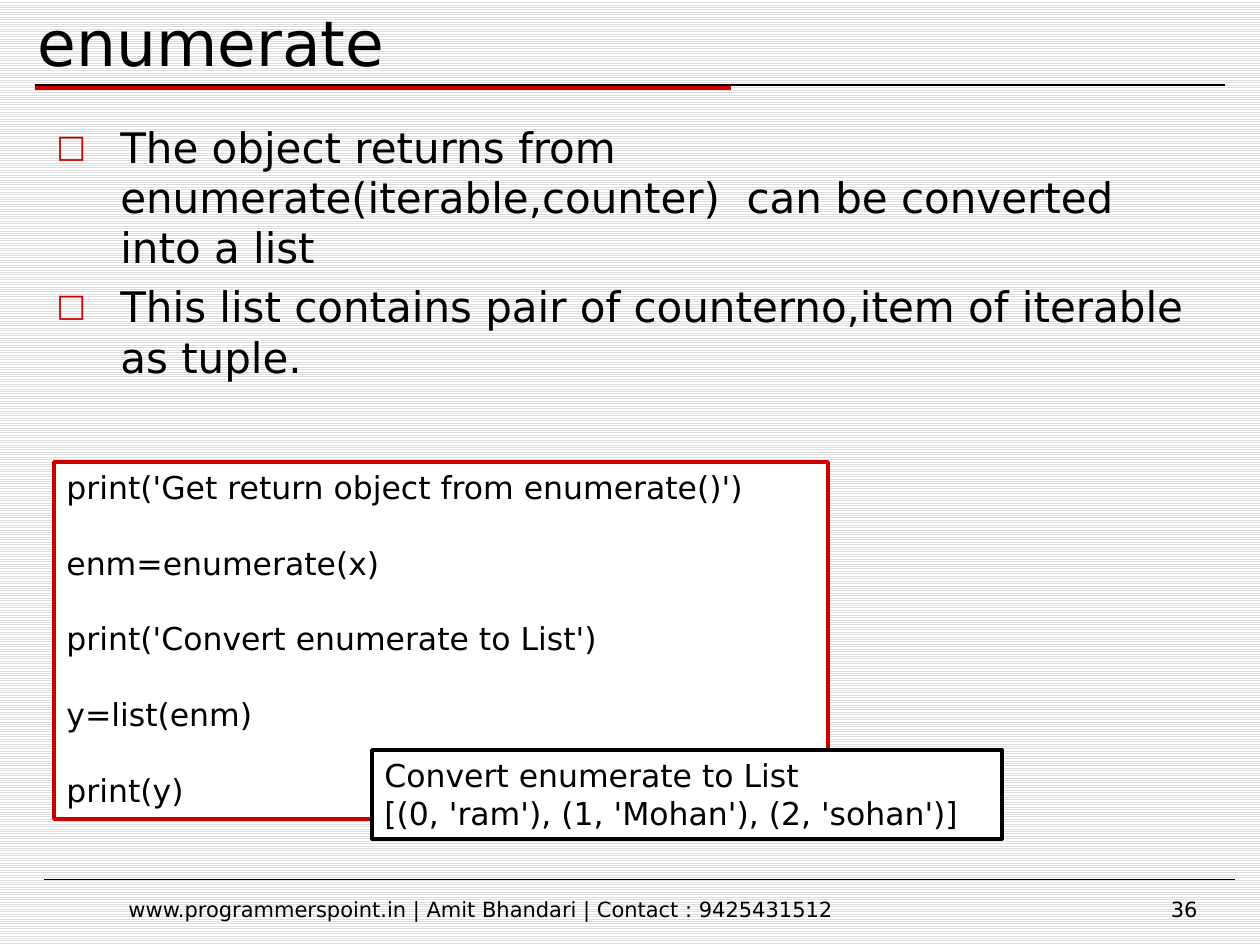
"""Build the slide that explains how an enumerate object becomes a list."""
import pptx
import pptx.util
import pptx.dml.color
import pptx.enum.dml
import pptx.enum.shapes
import pptx.enum.text
import pptx.oxml.ns
from lxml import etree

RED = pptx.dml.color.RGBColor(0xCC, 0x00, 0x00)
BLACK = pptx.dml.color.RGBColor(0x00, 0x00, 0x00)
WHITE = pptx.dml.color.RGBColor(0xFF, 0xFF, 0xFF)
STRIPE = pptx.dml.color.RGBColor(0xDD, 0xDD, 0xDD)
FONT = "DejaVu Sans"
EMU_PER_PX = 914400 / 126
ALIGN = pptx.enum.text.PP_ALIGN
ANCHOR = pptx.enum.text.MSO_ANCHOR

TITLE = {"text": "enumerate", "box": (25, -4, 372, 89), "size": 36}
BULLETS = {
    "lines": [
        "The object returns from enumerate(iterable,counter)  can be converted into a list",
        "This list contains pair of counterno,item of iterable as tuple.",
    ],
    "box": (44, 115, 1171, 287), "size": 24, "gap": 4.8, "indent": 64,
}
CODE_BOXES = [
    {
        "lines": [
            "print('Get return object from enumerate()')",
            "enm=enumerate(x)",
            "print('Convert enumerate to List')",
            "y=list(enm)",
            "print(y)",
        ],
        "box": (54, 462, 774, 357), "line": RED, "gap": 21.6,
    },
    {
        "lines": ["Convert enumerate to List", "[(0, 'ram'), (1, 'Mohan'), (2, 'sohan')]"],
        "box": (372, 750, 630, 89), "line": BLACK, "gap": 0,
    },
]
FOOTERS = [
    ("www.programmerspoint.in | Amit Bhandari | Contact : 9425431512", (84, 890, 794, 35), ALIGN.CENTER),
    ("36", (937, 890, 273, 35), ALIGN.RIGHT),
]
TITLE_BAR = (35, 85, 696, 5)
RULES = [((35, 85, 1225, 85), 0.75), ((44, 879, 1235, 879), 0.25)]


def px(*lengths):
    return [pptx.util.Emu(round(length * EMU_PER_PX)) for length in lengths]


def write(frame, lines, size, align=ALIGN.LEFT, gap=0, anchor=ANCHOR.TOP, indent=0):
    frame.word_wrap = True
    frame.vertical_anchor = anchor
    for index, line in enumerate(lines):
        paragraph = frame.paragraphs[0] if index == 0 else frame.add_paragraph()
        if indent:
            add_bullet(paragraph, indent)
        paragraph.alignment = align
        paragraph.space_before = pptx.util.Pt(gap if index else 0)
        run = paragraph.add_run()
        run.text = line
        run.font.color.rgb = BLACK
        for name, value in {"name": FONT, "size": pptx.util.Pt(size), "bold": False}.items():
            setattr(run.font, name, value)


def add_bullet(paragraph, indent):
    properties = paragraph._p.get_or_add_pPr()
    width = px(indent)[0]
    properties.set("marL", str(width))
    properties.set("indent", str(-width))
    colour = etree.SubElement(properties, pptx.oxml.ns.qn("a:buClr"))
    for parent, tag, name, value in [
        (colour, "a:srgbClr", "val", str(RED)),
        (properties, "a:buSzPct", "val", "75000"),
        (properties, "a:buFont", "typeface", FONT),
        (properties, "a:buChar", "char", "□"),
    ]:
        etree.SubElement(parent, pptx.oxml.ns.qn(tag)).set(name, value)


def add_rectangle(slide, box, fill, line=None):
    shape = slide.shapes.add_shape(pptx.enum.shapes.MSO_SHAPE.RECTANGLE, *px(*box))
    shape.shadow.inherit = False
    shape.fill.solid()
    shape.fill.fore_color.rgb = fill
    if line is None:
        shape.line.fill.background()
    else:
        shape.line.color.rgb = line
        shape.line.width = pptx.util.Pt(2)
    return shape


def add_rule(slide, ends, width):
    connector = slide.shapes.add_connector(pptx.enum.shapes.MSO_CONNECTOR.STRAIGHT, *px(*ends))
    connector.line.color.rgb = BLACK
    connector.line.width = pptx.util.Pt(width)
    etree.SubElement(connector._element.spPr, pptx.oxml.ns.qn("a:effectLst"))


def main():
    presentation = pptx.Presentation()
    presentation.slide_width, presentation.slide_height = px(1260, 945)
    slide = presentation.slides.add_slide(presentation.slide_layouts[5])

    background = slide.background.fill
    background.patterned()
    background.pattern = pptx.enum.dml.MSO_PATTERN.LIGHT_HORIZONTAL
    background.fore_color.rgb = STRIPE
    background.back_color.rgb = WHITE

    add_rectangle(slide, TITLE_BAR, RED)
    for ends, width in RULES:
        add_rule(slide, ends, width)

    title = slide.shapes.title
    title.left, title.top, title.width, title.height = px(*TITLE["box"])
    write(title.text_frame, [TITLE["text"]], TITLE["size"], anchor=ANCHOR.BOTTOM)
    title.text_frame.auto_size = pptx.enum.text.MSO_AUTO_SIZE.NONE
    title.text_frame.word_wrap = False

    body = slide.shapes.add_textbox(*px(*BULLETS["box"]))
    write(body.text_frame, BULLETS["lines"], BULLETS["size"], gap=BULLETS["gap"], indent=BULLETS["indent"])

    for text, box, align in FOOTERS:
        footer = slide.shapes.add_textbox(*px(*box))
        write(footer.text_frame, [text], 12, align)

    for code in CODE_BOXES:
        shape = add_rectangle(slide, code["box"], WHITE, code["line"])
        write(shape.text_frame, code["lines"], 18, gap=code["gap"])

    presentation.save("out.pptx")


if __name__ == "__main__":
    main()
